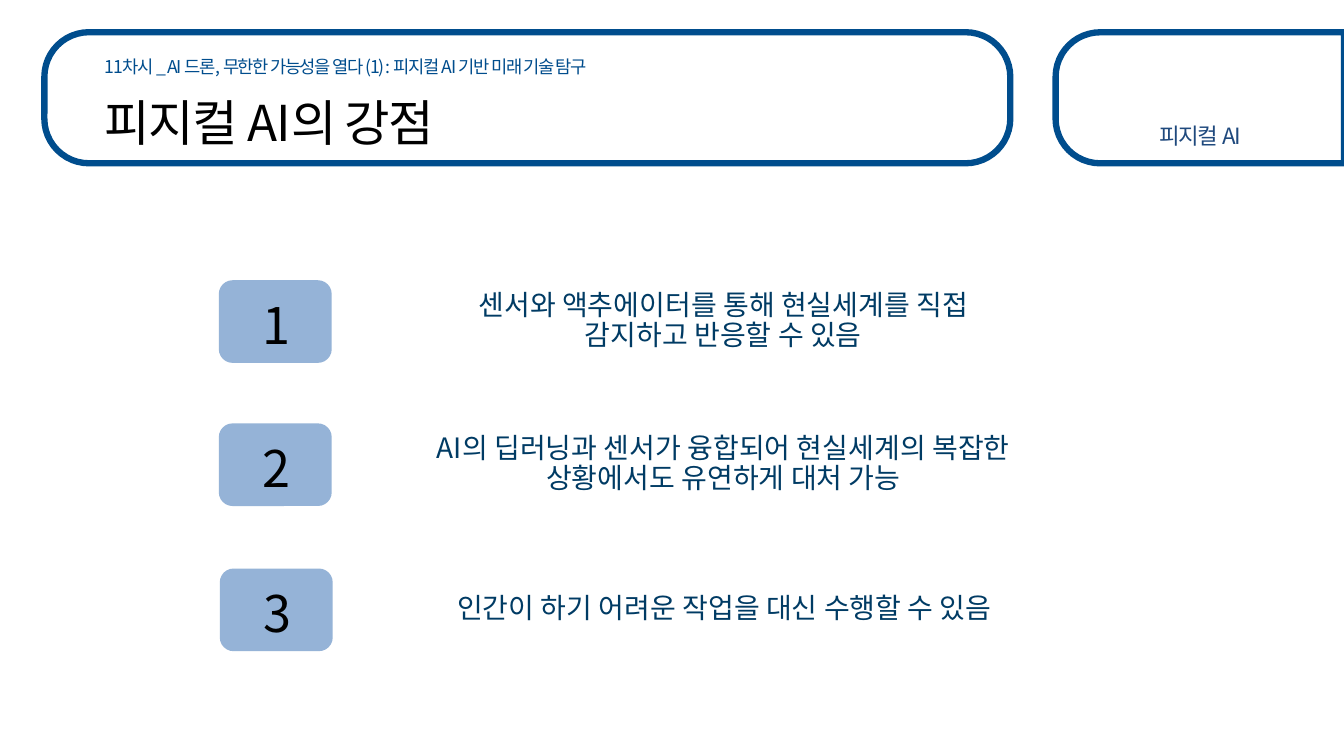
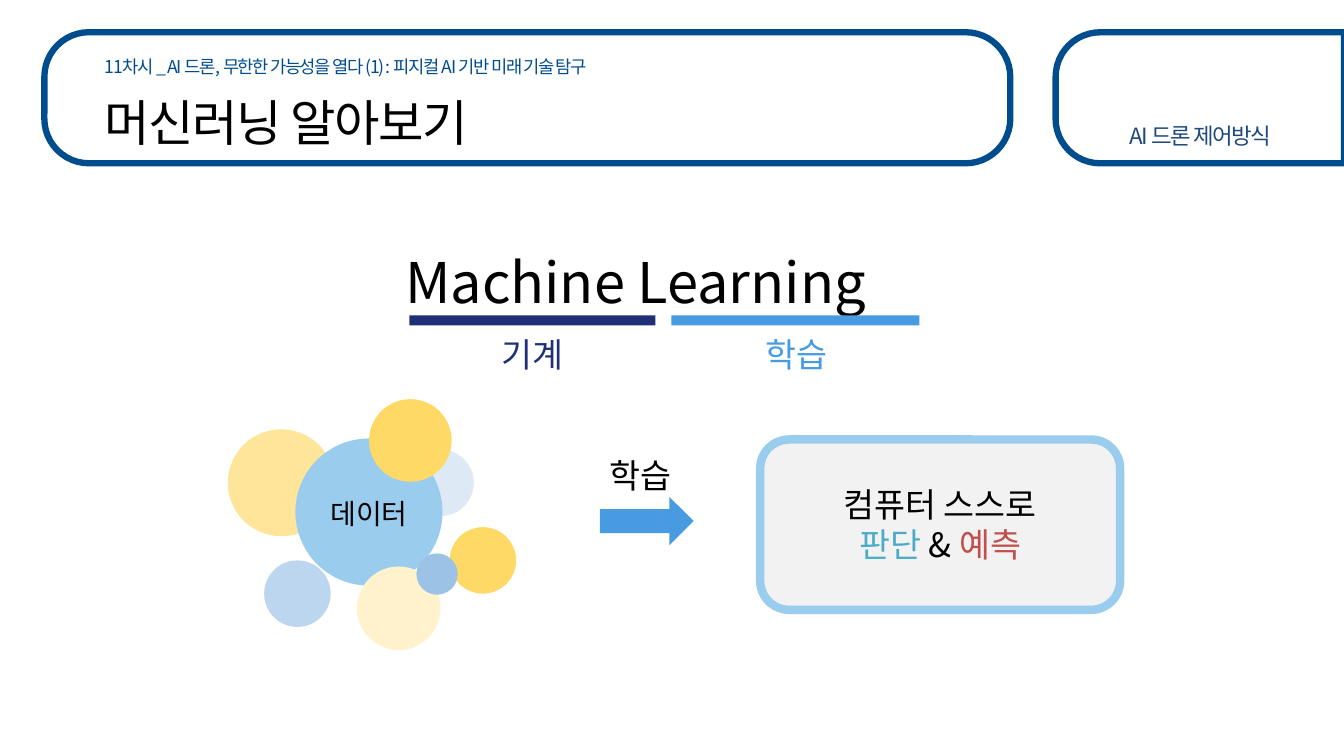
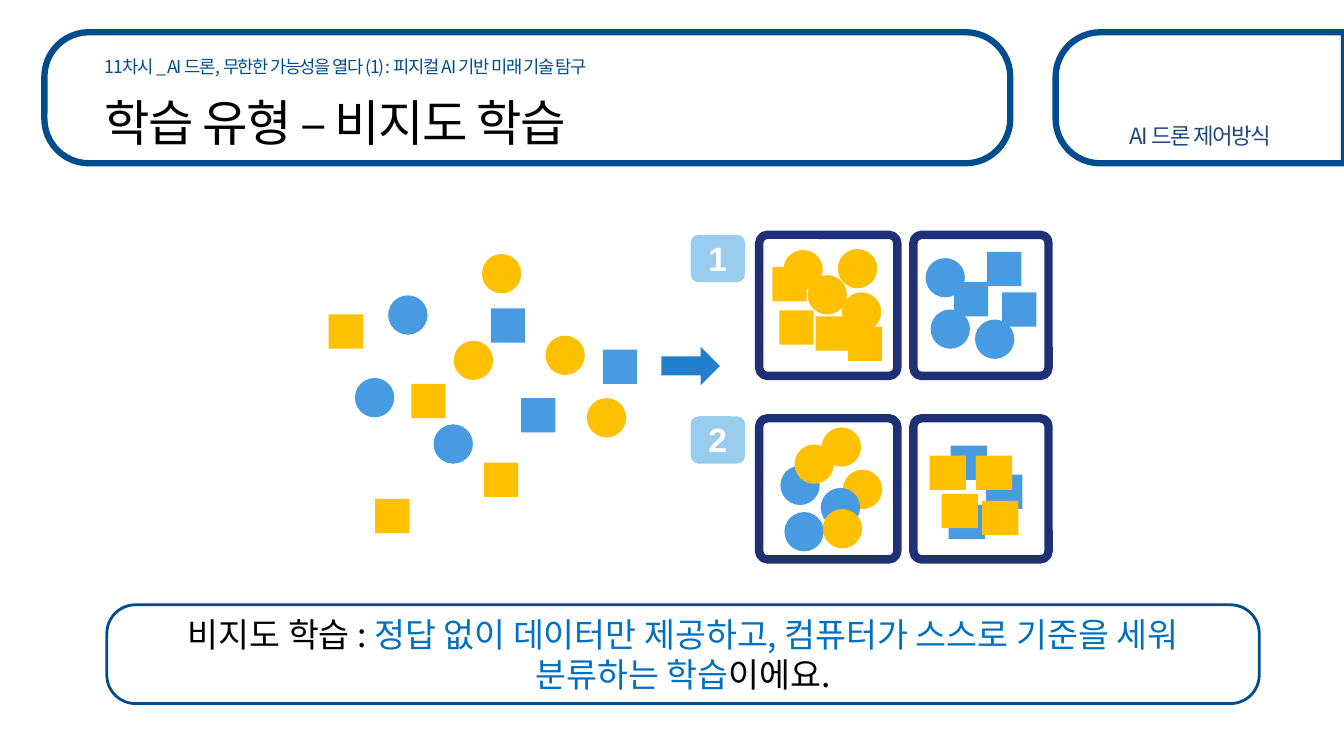
from lxml.etree import SubElement
from pptx import Presentation
from pptx.dml.color import RGBColor
from pptx.enum.shapes import MSO_SHAPE
from pptx.enum.text import MSO_ANCHOR, PP_ALIGN
from pptx.oxml.ns import qn
from pptx.util import Emu, Pt

EMU_PER_PX = 9144
FONT = "Noto Sans CJK KR"
BLACK, WHITE = "000000", "FFFFFF"
FRAME_BLUE, TAG_BLUE, ITEM_BLUE = "004D8D", "1F497D", "003B64"
NAVY, BLUE, PALE_BLUE = "203076", "489BE1", "9ACCEE"
YELLOW, LIGHT_YELLOW = "FFC000", "FFD966"
LESSON = "11차시 _ AI 드론, 무한한 가능성을 열다 (1) : 피지컬 AI 기반 미래 기술 탐구"
LEFT, CENTER = PP_ALIGN.LEFT, PP_ALIGN.CENTER
OVAL, RECTANGLE, ROUNDED = MSO_SHAPE.OVAL, MSO_SHAPE.RECTANGLE, MSO_SHAPE.ROUNDED_RECTANGLE


def px(length):
    return Emu(length * EMU_PER_PX)


def color(value):
    return RGBColor.from_string(value)


class Builder:
    def __init__(self):
        self.deck = Presentation()
        self.deck.slide_width, self.deck.slide_height = px(1333), px(750)
        self.page = None

    def new_page(self, title, tag):
        self.page = self.deck.slides.add_slide(self.deck.slide_layouts[6])
        side = self.shape(MSO_SHAPE.ROUND_2_SAME_RECTANGLE, 1125, -46, 130, 286,
                          WHITE, FRAME_BLUE, 4.5, 0.34)
        side.rotation = 270
        self.shape(ROUNDED, 44, 32, 958, 130, WHITE, FRAME_BLUE, 4.5, 0.34)
        self.text(94, 52, 833, 31, LESSON, 12.6, FRAME_BLUE, leading=1.1, tracking=-1)
        self.text(94, 82, 833, 59, title, 35.3, tracking=-1)
        self.text(1106, 114, 169, 39, tag, 16, TAG_BLUE, CENTER, tracking=-1)

    def shape(self, kind, x, y, width, height, fill, line=None, weight=1, corner=None):
        shape = self.page.shapes.add_shape(kind, px(x), px(y), px(width), px(height))
        shape.shadow.inherit = False
        shape.fill.solid()
        shape.fill.fore_color.rgb = color(fill)
        if line:
            shape.line.color.rgb = color(line)
            shape.line.width = Pt(weight)
        else:
            shape.line.fill.background()
        if corner is not None:
            shape.adjustments[0] = corner
        return shape

    def text(self, x, y, width, height, words, size, ink=BLACK, align=LEFT,
             margins=(10, 5), anchor=MSO_ANCHOR.TOP, leading=1.29, tracking=0):
        box = self.page.shapes.add_textbox(px(x), px(y), px(width), px(height))
        self.fill_text(box, [[(words, ink)]], size, align, margins, anchor, leading, tracking)

    def fill_text(self, box, lines, size, align=CENTER, margins=(10, 5),
                  anchor=MSO_ANCHOR.MIDDLE, leading=1.29, tracking=0, font=FONT, bold=False):
        frame = box.text_frame
        frame.word_wrap = True
        frame.vertical_anchor = anchor
        frame.margin_left = frame.margin_right = px(margins[0])
        frame.margin_top = frame.margin_bottom = px(margins[1])
        frame.text = "\n".join("" for _ in lines)
        for para, spans in zip(frame.paragraphs, lines):
            para.alignment = align
            para.line_spacing = Pt(round(size * leading, 1))
            if len(spans) == 1:
                para.text = spans[0][0]
            else:
                for words, _ in spans:
                    para.add_run().text = words
            inks = [ink for _, ink in spans]
            for index, span in enumerate(para.runs):
                span.font.size = Pt(size)
                span.font.bold = bold
                span.font.color.rgb = color(inks[min(index, len(inks) - 1)])
                span.font.name = font
                properties = span._r.get_or_add_rPr()
                SubElement(properties, qn("a:ea")).set("typeface", font)
                if tracking:
                    properties.set("spc", str(tracking * 100))

    def numbered_item(self, x, y, number, words):
        self.shape(ROUNDED, x, y, 112, 82, "95B3D7")
        self.text(x + 3, y + 2, 108, 79, number, 36, BLACK, CENTER, (18, 18), MSO_ANCHOR.MIDDLE)
        self.text(x + 186, y + 1, 629, 79, words, 20, ITEM_BLUE, CENTER, (18, 18),
                  MSO_ANCHOR.MIDDLE, 1.07)

    def underlined_word(self, x, width, word, word_x, ink):
        self.shape(RECTANGLE, x, 313, width, 10, ink)
        self.text(word_x, 318, 106, 55, word, 24, ink, CENTER, (10, 10))

    def samples(self, kind, fill, points, width=None):
        side = 39 if kind == OVAL else 34
        for x, y in points:
            self.shape(kind, x, y, width or side, side, fill)

    def group_row(self, y, number, badge_y):
        for x, width in ((753, 137), (906, 134)):
            self.shape(ROUNDED, x, y, width, 140, WHITE, NAVY, 6, 0.06)
        badge = self.shape(ROUNDED, 685, badge_y, 54, 47, PALE_BLUE, corner=0.17)
        self.fill_text(badge, [[(number, WHITE)]], 24, leading=1.15, font="Arial", bold=True)


def strengths(builder):
    builder.new_page("피지컬 AI의 강점", "피지컬 AI")
    items = (
        (217, 278, "센서와 액추에이터를 통해 현실세계를 직접\v감지하고 반응할 수 있음"),
        (217, 420, "AI의 딥러닝과 센서가 융합되어 현실세계의 복잡한 상황에서도 유연하게 대처 가능"),
        (218, 564, "인간이 하기 어려운 작업을 대신 수행할 수 있음"),
    )
    for number, (x, y, words) in enumerate(items, 1):
        builder.numbered_item(x, y, str(number), words)


def machine_learning(builder):
    builder.new_page("머신러닝 알아보기", "AI 드론 제어방식")
    builder.text(392, 231, 534, 98, "Machine Learning", 40, margins=(10, 10))
    builder.underlined_word(406, 244, "기계", 475, NAVY)
    builder.underlined_word(666, 246, "학습", 737, BLUE)
    bubbles = (
        (404, 446, 66, "DDEAF6", ""),
        (446, 523, 66, LIGHT_YELLOW, ""),
        (226, 426, 106, "FEE599", ""),
        (293, 435, 146, PALE_BLUE, "데이터"),
        (262, 556, 66, "BBD6EE", ""),
        (354, 562, 83, "FFF2CC", ""),
        (413, 549, 41, "9CC2E5", ""),
        (366, 396, 82, LIGHT_YELLOW, ""),
    )
    for x, y, diameter, fill, label in bubbles:
        bubble = builder.shape(OVAL, x, y, diameter, diameter, fill)
        if label:
            builder.fill_text(bubble, [[(label, BLACK)]], 20)
    builder.text(595, 438, 106, 55, "학습", 24, margins=(10, 10))
    builder.shape(MSO_SHAPE.RIGHT_ARROW, 595, 493, 93, 48, BLUE)
    result = builder.shape(ROUNDED, 754, 436, 357, 169, "F2F2F2", PALE_BLUE, 6, 0.17)
    builder.fill_text(result, [
        [("컴퓨터 스스로", BLACK)],
        [("판단 ", "4BACC6"), ("& ", BLACK), ("예측", "C0504D")],
    ], 24, leading=1.19)


def unsupervised_learning(builder):
    builder.new_page("학습 유형 – 비지도 학습", "AI 드론 제어방식")
    summary = builder.shape(ROUNDED, 106, 600, 1143, 98, WHITE, FRAME_BLUE, 2, 0.29)
    builder.fill_text(summary, [[
        ("비지도 학습 : ", BLACK),
        ("정답 없이 데이터만 제공하고, 컴퓨터가 스스로 기준을 세워 분류하는 학습", "0070C0"),
        ("이에요.", BLACK),
    ]], 24, leading=1.19)
    builder.group_row(233, "1", 233)
    builder.group_row(415, "2", 413)
    builder.shape(MSO_SHAPE.RIGHT_ARROW, 656, 344, 58, 38, "227FCC")

    builder.samples(OVAL, BLUE, [(385, 293), (352, 375), (430, 421)])
    builder.samples(OVAL, YELLOW, [(478, 252), (541, 333), (582, 395), (450, 338)])
    builder.samples(RECTANGLE, BLUE, [(598, 347), (487, 306), (517, 395)])
    builder.samples(RECTANGLE, YELLOW, [(408, 381), (480, 459), (326, 312), (372, 495)])

    builder.samples(OVAL, YELLOW, [(777, 248), (835, 290), (831, 247), (801, 273)])
    builder.samples(RECTANGLE, YELLOW, [(773, 308), (809, 314), (766, 265), (841, 324)])

    builder.samples(OVAL, BLUE, [(918, 256), (923, 307), (967, 317)])
    builder.samples(RECTANGLE, BLUE, [(946, 280), (979, 250), (994, 290)])

    builder.samples(OVAL, BLUE, [(774, 462), (778, 508)])
    builder.samples(OVAL, YELLOW, [(815, 424), (836, 466)])
    builder.samples(OVAL, BLUE, [(814, 484)])
    builder.samples(OVAL, YELLOW, [(816, 505), (788, 441)])

    builder.samples(RECTANGLE, BLUE, [(978, 471), (941, 501), (943, 442)], 36)
    builder.samples(RECTANGLE, YELLOW, [(968, 452), (974, 497), (934, 490), (922, 452)], 36)


def main():
    builder = Builder()
    strengths(builder)
    machine_learning(builder)
    unsupervised_learning(builder)
    builder.deck.save("out.pptx")


if __name__ == "__main__":
    main()
